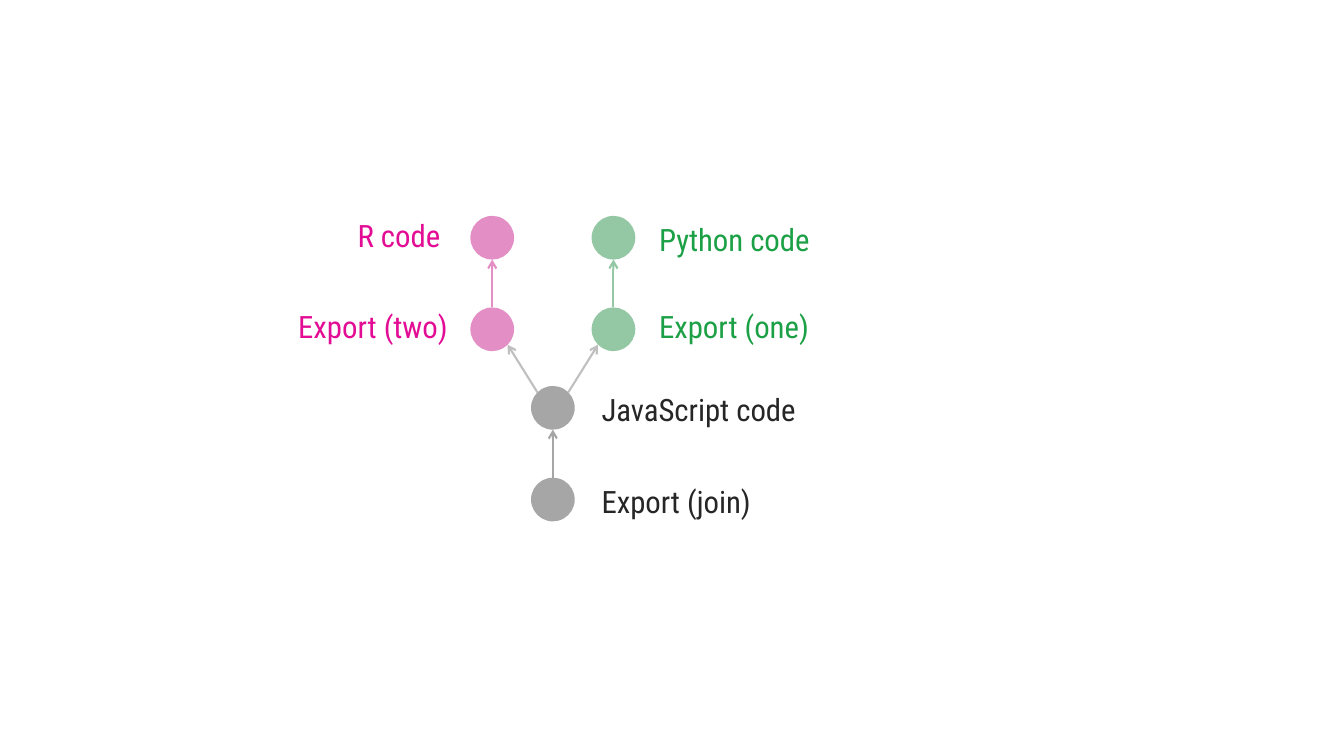
from math import copysign, hypot

from lxml import etree
from pptx import Presentation
from pptx.dml.color import RGBColor
from pptx.enum.shapes import MSO_CONNECTOR as CONNECTOR, MSO_SHAPE as SHAPE
from pptx.enum.text import MSO_AUTO_SIZE as AUTO_SIZE
from pptx.oxml.ns import qn
from pptx.util import Pt

PINK, PINK_TEXT = RGBColor(0xE3, 0x8E, 0xC4), RGBColor(0xE3, 0x0C, 0x94)
GREEN, GREEN_TEXT = RGBColor(0x94, 0xC8, 0xA4), RGBColor(0x1C, 0xA0, 0x45)
GRAY, GRAY_TEXT = RGBColor(0xA6, 0xA6, 0xA6), RGBColor(0x26, 0x26, 0x26)
LIGHT_GRAY = RGBColor(0xBF, 0xBF, 0xBF)

# Content: circle centre, circle colour, label colour, label left, top, width
STEPS = {
    "R code": (351.6, 169.8, PINK, PINK_TEXT, 248.4, 151.2, 74.2),
    "Python code": (438.2, 169.8, GREEN, GREEN_TEXT, 463.7, 154.1, 127.4),
    "Export (two)": (351.6, 235.2, PINK, PINK_TEXT, 205.9, 216, 121.7),
    "Export (one)": (438.2, 235.2, GREEN, GREEN_TEXT, 463.7, 216, 121.7),
    "JavaScript code": (394.9, 291.3, GRAY, GRAY_TEXT, 422.6, 275.8, 154.8),
    "Export (join)": (394.9, 356.8, GRAY, GRAY_TEXT, 422.6, 341.3, 121.7),
}
ARROWS = [
    ("Export (two)", "R code", PINK),
    ("Export (one)", "Python code", GREEN),
    ("JavaScript code", "Export (two)", LIGHT_GRAY),
    ("JavaScript code", "Export (one)", LIGHT_GRAY),
    ("Export (join)", "JavaScript code", GRAY),
]
RADIUS = 15.6
LABEL_HEIGHT = 33.8
LABEL_FONT = {"name": "Roboto Condensed", "size": Pt(22)}

deck = Presentation()
deck.slide_width, deck.slide_height = Pt(960), Pt(540)
slide = deck.slides.add_slide(deck.slide_layouts[6])


def add_circle(x, y, color):
    circle = slide.shapes.add_shape(
        SHAPE.OVAL, Pt(x - RADIUS), Pt(y - RADIUS), Pt(2 * RADIUS), Pt(2 * RADIUS))
    circle.shadow.inherit = False
    circle.fill.solid()
    circle.fill.fore_color.rgb = color
    circle.line.fill.background()


def add_label(text, color, left, top, width):
    frame = slide.shapes.add_textbox(
        Pt(left), Pt(top), Pt(width), Pt(LABEL_HEIGHT)).text_frame
    frame.word_wrap = False
    frame.auto_size = AUTO_SIZE.SHAPE_TO_FIT_TEXT
    run = frame.paragraphs[0].add_run()
    run.text = text
    for attribute, value in LABEL_FONT.items():
        setattr(run.font, attribute, value)
    run.font.color.rgb = color


def add_arrow(start, end, color):
    x1, y1 = STEPS[start][:2]
    x2, y2 = STEPS[end][:2]
    # Arrows leave and reach the circles straight up or at 45 degrees
    across = copysign(1, x2 - x1) if x1 != x2 else 0
    up = copysign(1, y2 - y1)
    reach = RADIUS / hypot(across, up)
    dx, dy = across * reach, up * reach
    arrow = slide.shapes.add_connector(
        CONNECTOR.STRAIGHT, Pt(x1 + dx), Pt(y1 + dy), Pt(x2 - dx), Pt(y2 - dy))
    arrow.line.color.rgb = color
    arrow.line.width = Pt(1.5)
    outline = arrow.line._get_or_add_ln()
    etree.SubElement(outline, qn("a:tailEnd"), type="arrow")
    etree.SubElement(outline.getparent(), qn("a:effectLst"))


# Circles and labels
for step, (x, y, fill, text_color, left, top, width) in STEPS.items():
    add_circle(x, y, fill)
    add_label(step, text_color, left, top, width)

# Arrows
for arrow_parts in ARROWS:
    add_arrow(*arrow_parts)

deck.save("out.pptx")
